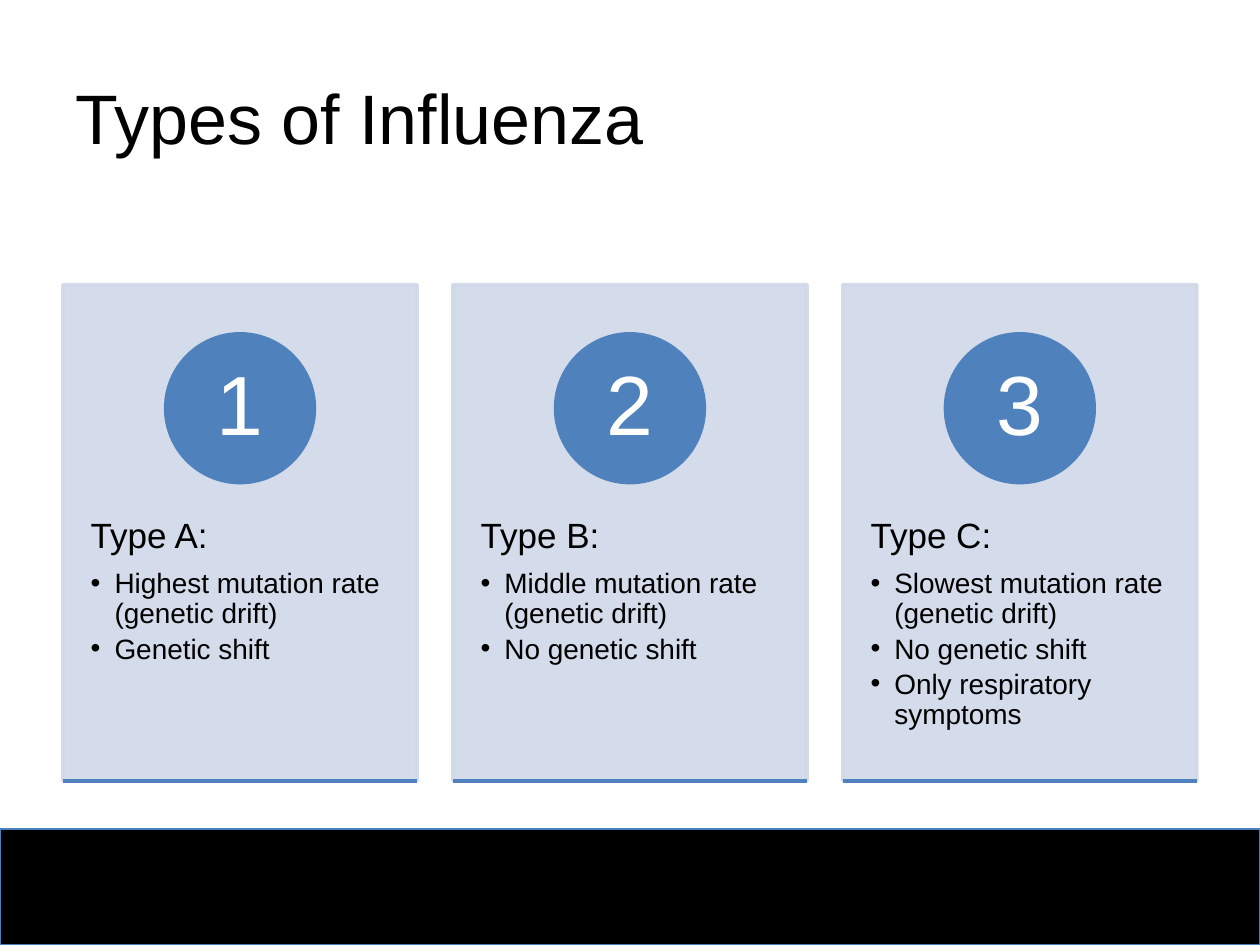
import lxml.etree
import pptx
import pptx.dml.color
import pptx.enum.shapes
import pptx.enum.text
import pptx.oxml.ns
import pptx.util

Cm, Pt = pptx.util.Cm, pptx.util.Pt
qn = pptx.oxml.ns.qn
shape_types = pptx.enum.shapes.MSO_SHAPE
anchors = pptx.enum.text.MSO_ANCHOR
alignments = pptx.enum.text.PP_ALIGN


def paint(target, color, line_width=None, opacity=None):
    target.solid() if line_width is None else target.fill.solid()
    fill = target if line_width is None else target.fill
    fill.fore_color.rgb = pptx.dml.color.RGBColor.from_string(color)
    if line_width is not None:
        target.width = Pt(line_width)
    if opacity is not None:
        solid_fill = fill._xPr.find(qn("a:solidFill"))
        lxml.etree.SubElement(solid_fill[0], qn("a:alpha"), val=str(opacity * 1000))


def write(paragraph, text, size, color, layout):
    for name, value in layout.items():
        setattr(paragraph, name, value)
    run = paragraph.add_run()
    run.text = text
    for name, value in {"name": "Arial", "size": Pt(size)}.items():
        setattr(run.font, name, value)
    paint(run.font.fill, color)


presentation = pptx.Presentation()
presentation.slide_width, presentation.slide_height = Cm(25.4), Cm(19.05)
slide = presentation.slides.add_slide(presentation.slide_layouts[5])

band = slide.shapes.add_shape(shape_types.RECTANGLE, 0, Cm(16.71), Cm(25.4), Cm(2.34))
band.shadow.inherit = False
paint(band.fill, "000000")
paint(band.line, "4B7EBC", 0.75)

title = slide.shapes.title
title_place = {"left": Cm(1.27), "top": Cm(0.76), "width": Cm(22.86), "height": Cm(3.18)}
for name, value in title_place.items():
    setattr(title, name, value)
title.text_frame.auto_size = pptx.enum.text.MSO_AUTO_SIZE.NONE
title.text_frame.vertical_anchor = anchors.MIDDLE
write(title.text_frame.paragraphs[0], "Types of Influenza", 40, "000000",
      {"alignment": alignments.LEFT})

cards = [
    ("Type A:", ["Highest mutation rate (genetic drift)", "Genetic shift"]),
    ("Type B:", ["Middle mutation rate (genetic drift)", "No genetic shift"]),
    ("Type C:", ["Slowest mutation rate (genetic drift)", "No genetic shift",
                 "Only respiratory symptoms"]),
]
card_left, card_top, card_width, card_height = 1.27, 5.74, 7.14, 10
card_pitch, circle_size, circle_top = 7.86, 3, 6.73
card_format = {"word_wrap": True, "vertical_anchor": anchors.TOP,
               "margin_left": Cm(0.56), "margin_right": Cm(0.56),
               "margin_top": Cm(4.7), "margin_bottom": Cm(0.5)}
circle_format = {"word_wrap": True, "vertical_anchor": anchors.MIDDLE,
                 "margin_left": 0, "margin_right": 0,
                 "margin_top": 0, "margin_bottom": 0}
heading_layout = {"alignment": alignments.LEFT, "line_spacing": 0.9, "space_after": Pt(8)}
bullet_layout = {"alignment": alignments.LEFT, "line_spacing": 0.9, "space_after": Pt(2.75)}
number_layout = {"alignment": alignments.CENTER, "line_spacing": 0.9}

for index, (heading, facts) in enumerate(cards):
    left = card_left + index * card_pitch
    card = slide.shapes.add_shape(shape_types.RECTANGLE, Cm(left), Cm(card_top),
                                  Cm(card_width), Cm(card_height))
    circle = slide.shapes.add_shape(
        shape_types.OVAL, Cm(left + (card_width - circle_size) / 2), Cm(circle_top),
        Cm(circle_size), Cm(circle_size))
    for shape, color, opacity, frame_format in (
            (card, "D0D8E8", 90, card_format), (circle, "4F81BD", None, circle_format)):
        shape.shadow.inherit = False
        paint(shape.fill, color, opacity=opacity)
        paint(shape.line, color, 2, opacity)
        for name, value in frame_format.items():
            setattr(shape.text_frame, name, value)

    write(circle.text_frame.paragraphs[0], str(index + 1), 48, "FFFFFF", number_layout)
    write(card.text_frame.paragraphs[0], heading, 20, "000000", heading_layout)
    for fact in facts:
        paragraph = card.text_frame.add_paragraph()
        properties = paragraph._p.get_or_add_pPr()
        properties.set("marL", str(Cm(0.48)))
        properties.set("indent", str(-Cm(0.48)))
        lxml.etree.SubElement(properties, qn("a:buFont"), typeface="Arial")
        lxml.etree.SubElement(properties, qn("a:buChar"), char="•")
        write(paragraph, fact, 16, "000000", bullet_layout)

    card_bottom = Cm(card_top + card_height)
    underline = slide.shapes.add_connector(
        pptx.enum.shapes.MSO_CONNECTOR.STRAIGHT,
        Cm(left), card_bottom, Cm(left + card_width), card_bottom)
    paint(underline.line, "4F81BD", 2)
    lxml.etree.SubElement(underline._element.spPr, qn("a:effectLst"))

presentation.save("out.pptx")
